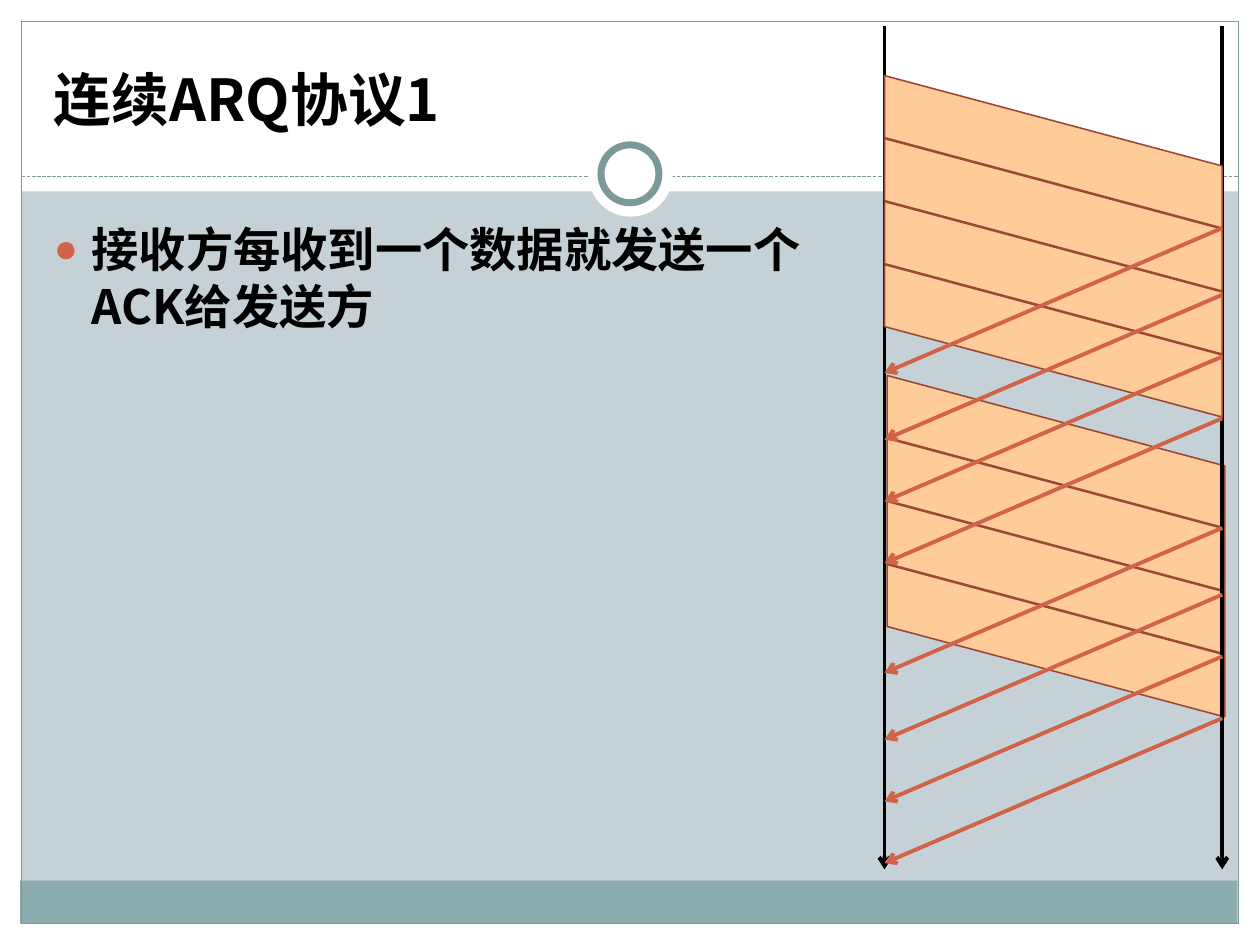
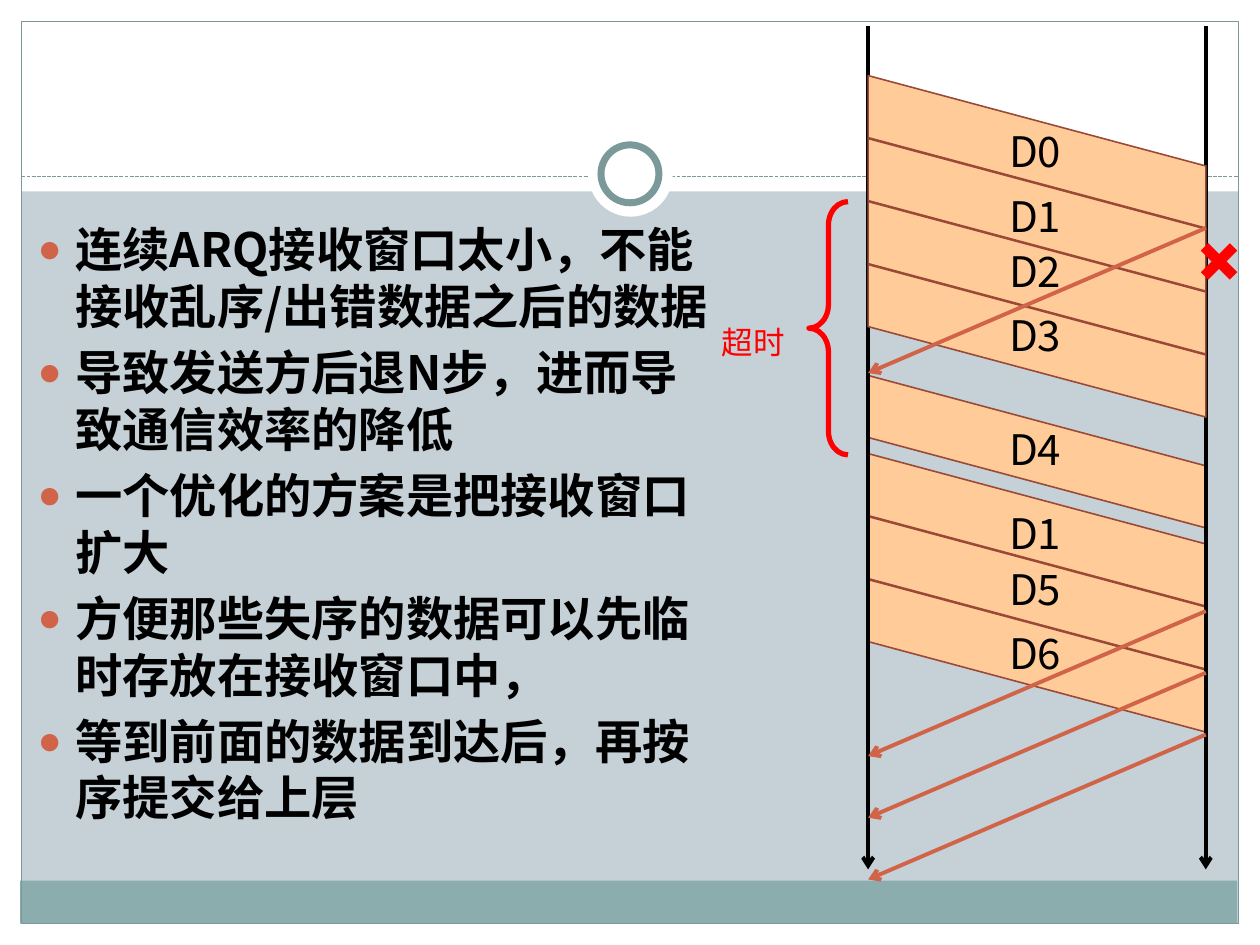
from pptx import Presentation
from pptx.dml.color import RGBColor
from pptx.enum.dml import MSO_LINE
from pptx.enum.shapes import MSO_CONNECTOR, MSO_SHAPE
from pptx.enum.text import MSO_ANCHOR, PP_ALIGN
from pptx.oxml.ns import qn
from pptx.util import Inches, Pt
from lxml import etree

RECT = MSO_SHAPE.RECTANGLE
OVAL = MSO_SHAPE.OVAL
SLANTED = MSO_SHAPE.PARALLELOGRAM
BRACE = MSO_SHAPE.LEFT_BRACE
STRAIGHT = MSO_CONNECTOR.STRAIGHT
DASH = MSO_LINE.SQUARE_DOT
TOP, BOTTOM = MSO_ANCHOR.TOP, MSO_ANCHOR.BOTTOM
LEFT = PP_ALIGN.LEFT

# Shared look
FONT = "Noto Sans CJK SC"
GROUND, WHITE, BLACK = "C5D1D7", "FFFFFF", "000000"
BAND, FRAME = "8CADAE", "7C999A"
ACCENT, RED = "D16349", "FF0000"
PACKET_FILL, PACKET_LINE = "FFCC99", "9B4936"

# Timing diagram, in inches
LINK_WIDTH = 2.68        # distance from sender line to receiver line
PACKET_HEIGHT = 1.21     # packet duration plus propagation delay
PACKET_SLANT = 0.593
PACKET_STEP = 0.5
ACK_DELAY = 1.15


def color(value):
    return RGBColor.from_string(value)


def add_child(parent, tag, **attributes):
    return etree.SubElement(parent, qn(tag), attributes)


# Basic elements
def add_shape(page, kind, left, top, width, height, fill=None, line=None,
              weight=0.75, rotation=0, adjust=None):
    shape = page.shapes.add_shape(kind, Inches(left), Inches(top),
                                  Inches(width), Inches(height))
    shape.shadow.inherit = False
    shape.rotation = rotation
    if adjust is not None:
        shape.adjustments[0] = adjust
    if fill:
        shape.fill.solid()
        shape.fill.fore_color.rgb = color(fill)
    else:
        shape.fill.background()
    if line:
        shape.line.color.rgb = color(line)
        shape.line.width = Pt(weight)
    else:
        shape.line.fill.background()
    return shape


def add_line(page, start, end, line, weight=2.25, dash=None, arrow=False):
    points = [Inches(value) for value in (*start, *end)]
    connector = page.shapes.add_connector(STRAIGHT, *points)
    connector.line.color.rgb = color(line)
    connector.line.width = Pt(weight)
    if dash:
        connector.line.dash_style = dash
    properties = connector._element.spPr
    if arrow:
        add_child(properties.find(qn("a:ln")), "a:tailEnd", type="arrow")
    add_child(properties, "a:effectLst")


def add_bullet(para):
    properties = para._p.get_or_add_pPr()
    properties.set("marL", str(Inches(0.3)))
    properties.set("indent", str(Inches(-0.3)))
    add_child(add_child(properties, "a:buClr"), "a:srgbClr", val=ACCENT)
    add_child(properties, "a:buSzPct", val="85000")
    add_child(properties, "a:buFont", typeface="Arial")
    add_child(properties, "a:buChar", char="●")


def add_text(page, text, left, top, width, height, size=24, ink=BLACK,
             bold=False, anchor=TOP, bullets=False):
    """Place text; each line of it becomes a paragraph."""
    box = page.shapes.add_textbox(Inches(left), Inches(top),
                                  Inches(width), Inches(height))
    frame = box.text_frame
    frame.word_wrap = True
    frame.vertical_anchor = anchor
    frame.margin_top, frame.margin_bottom = Inches(0.08), Inches(0.02)
    for index, line in enumerate(text.split("\n")):
        para = frame.add_paragraph() if index else frame.paragraphs[0]
        para.alignment = LEFT
        para.line_spacing = Pt(round(size * 1.2, 1))
        if bullets:
            if index:
                para.space_before = Pt(size * 0.2)
            add_bullet(para)
        span = para.add_run()
        span.text = line
        span.font.size = Pt(size)
        span.font.name = FONT
        span.font.bold = bold
        span.font.color.rgb = color(ink)
        add_child(span._r.get_or_add_rPr(), "a:ea", typeface=FONT)


# Page parts
def add_page(deck):
    page = deck.slides.add_slide(deck.slide_layouts[6])
    page.background.fill.solid()
    page.background.fill.fore_color.rgb = color(GROUND)
    margins = [(0, 7.33, 10, 0.17), (0, 0, 10, 1.52),
               (0, 0, 0.17, 7.5), (9.83, 0, 0.17, 7.5)]
    for margin in margins:
        add_shape(page, RECT, *margin, fill=WHITE)
    add_shape(page, RECT, 0.16, 6.99, 9.66, 0.34, fill=BAND)
    add_shape(page, RECT, 0.17, 0.17, 9.66, 7.16, line=FRAME)
    add_line(page, (0.17, 1.4), (9.83, 1.4), FRAME, weight=0.75, dash=DASH)
    add_shape(page, OVAL, 4.67, 1.05, 0.67, 0.67, fill=WHITE)
    add_shape(page, OVAL, 4.77, 1.15, 0.46, 0.46, fill=WHITE, line=FRAME,
              weight=4)
    return page


def add_body(page, text, left, width, height):
    add_text(page, text, left, 1.67, width, height, size=27, bold=True,
             bullets=True)


def add_timelines(page, sender):
    for left in (sender, sender + LINK_WIDTH):
        add_line(page, (left, 0.21), (left, 6.9), BLACK, arrow=True)


def add_packets(page, sender, first_top, count):
    """Stack packets downwards, each a parallelogram turned on its side."""
    left = sender + (LINK_WIDTH - PACKET_HEIGHT) / 2
    for index in range(count):
        top = (first_top + index * PACKET_STEP
               + (PACKET_HEIGHT - LINK_WIDTH) / 2)
        add_shape(page, SLANTED, left, top, PACKET_HEIGHT, LINK_WIDTH,
                  fill=PACKET_FILL, line=PACKET_LINE, weight=0.9,
                  rotation=90, adjust=PACKET_SLANT)


def add_acks(page, sender, starts):
    for start in starts:
        add_line(page, (sender + LINK_WIDTH, start),
                 (sender, start + ACK_DELAY), ACCENT, arrow=True)


def add_loss_mark(page):
    left, top, right, bottom = 9.56, 1.96, 9.79, 2.19
    add_line(page, (left, top), (right, bottom), RED, weight=6)
    add_line(page, (right, top), (left, bottom), RED, weight=6)


def add_timeout(page):
    add_shape(page, BRACE, 6.42, 1.6, 0.31, 2.01, line=RED, weight=3,
              adjust=0.604)
    add_text(page, "超时", 5.63, 2.48, 0.72, 0.32, size=18, ink=RED)


# Slides
def build_acknowledgement_page(deck):
    page = add_page(deck)
    sender = 7.02
    add_packets(page, sender + 0.02, 2.98, 4)
    add_text(page, "连续ARQ协议1", 0.33, 0.25, 9.33, 0.83, size=33,
             bold=True, anchor=BOTTOM)
    add_body(page, "接收方每收到一个数据就发送一个ACK给发送方", 0.33, 6.24, 5)
    add_timelines(page, sender)
    add_packets(page, sender, 0.6, 4)
    for first_ack in (1.81, 4.19):
        add_acks(page, sender,
                 [first_ack + delay for delay in (0, 0.53, 1.02, 1.51)])


def build_go_back_page(deck):
    page = add_page(deck)
    sender = 6.89
    add_body(page, "连续ARQ接收窗口太小，不能接收乱序/出错数据之后的数据\n"
                   "导致发送方后退N步，进而导致通信效率的降低\n"
                   "一个优化的方案是把接收窗口扩大\n"
                   "方便那些失序的数据可以先临时存放在接收窗口中，\n"
                   "等到前面的数据到达后，再按序提交给上层", 0.2, 5.59, 5.31)
    add_packets(page, sender, 2.98, 1)
    add_packets(page, sender, 3.6, 3)
    add_timelines(page, sender)
    add_packets(page, sender, 0.6, 4)
    add_acks(page, sender, (1.81, 4.85, 5.34, 5.83))
    add_loss_mark(page)
    add_timeout(page)
    labels = [("D0", 0.92), ("D1", 1.43), ("D2", 1.87), ("D3", 2.38),
              ("D4", 3.28), ("D1", 3.95), ("D5", 4.39), ("D6", 4.9)]
    for name, top in labels:
        add_text(page, name, 7.91, top, 0.71, 0.5)


def main():
    deck = Presentation()
    deck.slide_width, deck.slide_height = Inches(10), Inches(7.5)
    build_acknowledgement_page(deck)
    build_go_back_page(deck)
    deck.save("out.pptx")


if __name__ == "__main__":
    main()
